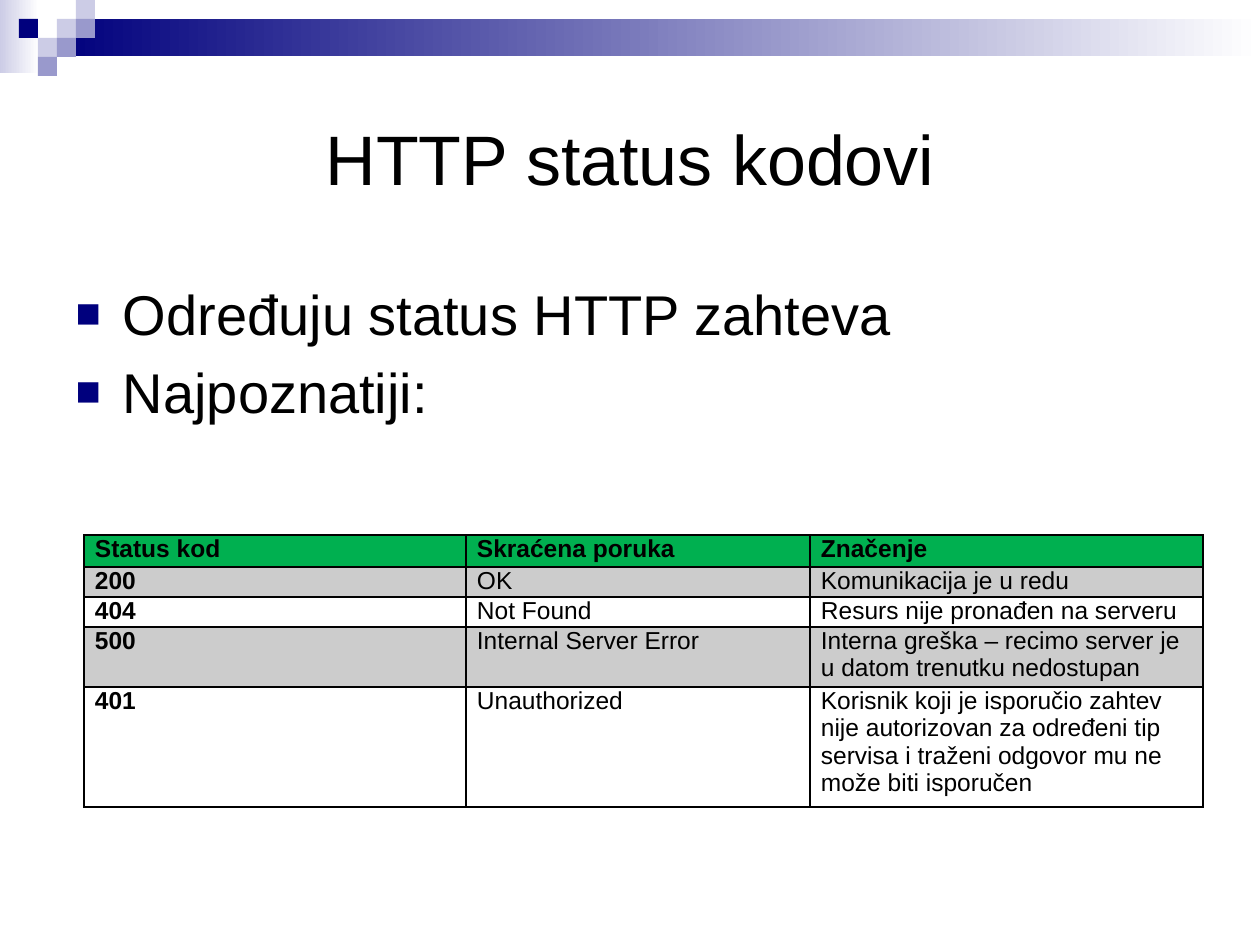
from dataclasses import dataclass

from lxml import etree
from pptx import Presentation
from pptx.dml.color import RGBColor
from pptx.enum.shapes import MSO_SHAPE
from pptx.enum.text import MSO_ANCHOR, PP_ALIGN
from pptx.oxml.ns import qn
from pptx.util import Emu, Pt

RECTANGLE = MSO_SHAPE.RECTANGLE
MIDDLE = MSO_ANCHOR.MIDDLE
CENTER = PP_ALIGN.CENTER

TITLE = "HTTP status kodovi"
POINTS = ["Određuju status HTTP zahteva", "Najpoznatiji:"]
STATUS_CODES = [
    ("Status kod", "Skraćena poruka", "Značenje"),
    ("200", "OK", "Komunikacija je u redu"),
    ("404", "Not Found", "Resurs nije pronađen na serveru"),
    ("500", "Internal Server Error",
     "Interna greška – recimo server je u datom trenutku nedostupan"),
    ("401", "Unauthorized",
     "Korisnik koji je isporučio zahtev nije autorizovan za određeni tip "
     "servisa i traženi odgovor mu ne može biti isporučen"),
]


@dataclass(frozen=True)
class Theme:
    font: str = "Arial"
    text: str = "000000"
    paper: str = "FFFFFF"
    navy: str = "00007D"
    violet: str = "9999CC"
    lavender: str = "CCCCE6"
    header: str = "00B050"
    stripe_alpha: int = 20
    title_size: int = 40
    body_size: int = 32
    table_size: int = 14
    border_width: int = 1


THEME = Theme()

# Lengths in px, 126 to the inch
TITLE_BOX = (63, 63, 1134, 189)
BODY_BOX = (63, 273, 1134, 536)
TABLE_ORIGIN = (84, 535)
COLUMN_WIDTHS = [382, 344, 393]
ROW_HEIGHTS = [32, 30, 30, 60, 120]
CELL_MARGIN = 11
SQUARE = 19
GRADIENT_BARS = [((0, 0, 39, 73), THEME.lavender), ((57, 19, 1203, 37), THEME.navy)]
SQUARES = [  # column, row, colour
    (3, 1, THEME.lavender), (4, 0, THEME.lavender), (4, 1, THEME.violet),
    (2, 2, THEME.lavender), (1, 1, THEME.navy), (3, 2, THEME.violet),
    (2, 3, THEME.violet),
]


def px(length):
    return Emu(round(length * 914400 / 126))


def rgb(colour):
    return RGBColor.from_string(colour)


def place(shape, box):
    shape.left, shape.top, shape.width, shape.height = map(px, box)


def add_child(parent, tag, **attributes):
    return etree.SubElement(parent, qn(tag), attributes)


def style_text(paragraph, size, bold=False):
    for run in paragraph.runs:
        font = run.font
        font.name, font.size, font.bold = THEME.font, Pt(size), bold
        font.color.rgb = rgb(THEME.text)


def add_block(slide, box, colour, fades=False):
    """Add a borderless rectangle behind the title, optionally fading to the right."""
    block = slide.shapes.add_shape(RECTANGLE, *map(px, box))
    block.shadow.inherit = False
    block.line.fill.background()
    if fades:
        block.fill.gradient()
        block.fill.gradient_angle = 0
        for stop, stop_colour in zip(block.fill.gradient_stops, (colour, THEME.paper)):
            stop.color.rgb = rgb(stop_colour)
    else:
        block.fill.solid()
        block.fill.fore_color.rgb = rgb(colour)
    slide.shapes.title.element.addprevious(block.element)


def add_header_pattern(slide):
    for box, colour in GRADIENT_BARS:
        add_block(slide, box, colour, fades=True)
    for column, row, colour in SQUARES:
        add_block(slide, (column * SQUARE, row * SQUARE, SQUARE, SQUARE), colour)


def fill_title(title):
    place(title, TITLE_BOX)
    title.text_frame.text = TITLE
    title.text_frame.vertical_anchor = MIDDLE
    paragraph = title.text_frame.paragraphs[0]
    paragraph.alignment = CENTER
    style_text(paragraph, THEME.title_size)


def fill_points(body):
    place(body, BODY_BOX)
    body.text_frame.text = "\n".join(POINTS)
    for paragraph in body.text_frame.paragraphs:
        style_text(paragraph, THEME.body_size)
        paragraph.space_before = Pt(THEME.body_size * 0.2)
        properties = paragraph._p.get_or_add_pPr()
        add_child(add_child(properties, "a:buClr"), "a:srgbClr", val=THEME.navy)
        add_child(properties, "a:buSzPct", val="75000")
        add_child(properties, "a:buFont", typeface=THEME.font)
        add_child(properties, "a:buChar", char="■")


def add_borders(cell):
    properties = cell._tc.get_or_add_tcPr()
    for side in ("a:lnL", "a:lnR", "a:lnT", "a:lnB"):
        line = add_child(properties, side, w=str(Pt(THEME.border_width)))
        add_child(add_child(line, "a:solidFill"), "a:srgbClr", val=THEME.text)


def fill_cell(cell, row):
    if row == 0:
        cell.fill.solid()
        cell.fill.fore_color.rgb = rgb(THEME.header)
    elif row % 2:
        cell.fill.solid()
        cell.fill.fore_color.rgb = rgb(THEME.text)
        colour = cell._tc.tcPr.find(".//" + qn("a:srgbClr") + "[last()]")
        colour = cell._tc.tcPr.find(qn("a:solidFill")).find(qn("a:srgbClr"))
        add_child(colour, "a:alpha", val=str(THEME.stripe_alpha * 1000))
    else:
        cell.fill.background()


def add_status_table(slide):
    size = (sum(COLUMN_WIDTHS), sum(ROW_HEIGHTS))
    table = slide.shapes.add_table(
        len(ROW_HEIGHTS), len(COLUMN_WIDTHS), *map(px, TABLE_ORIGIN + size)).table
    table.horz_banding = False
    for column, width in zip(table.columns, COLUMN_WIDTHS):
        column.width = px(width)
    for r, (height, texts) in enumerate(zip(ROW_HEIGHTS, STATUS_CODES)):
        table.rows[r].height = px(height)
        for c, text in enumerate(texts):
            cell = table.cell(r, c)
            cell.margin_left = cell.margin_right = px(CELL_MARGIN)
            cell.margin_top = cell.margin_bottom = 0
            cell.text_frame.text = text
            style_text(cell.text_frame.paragraphs[0], THEME.table_size,
                       bold=r == 0 or c == 0)
            add_borders(cell)
            fill_cell(cell, r)


def main():
    presentation = Presentation()
    presentation.slide_width, presentation.slide_height = px(1260), px(945)
    slide = presentation.slides.add_slide(presentation.slide_layouts[1])
    add_header_pattern(slide)
    fill_title(slide.shapes.title)
    fill_points(slide.placeholders[1])
    add_status_table(slide)
    presentation.save("out.pptx")


if __name__ == "__main__":
    main()
